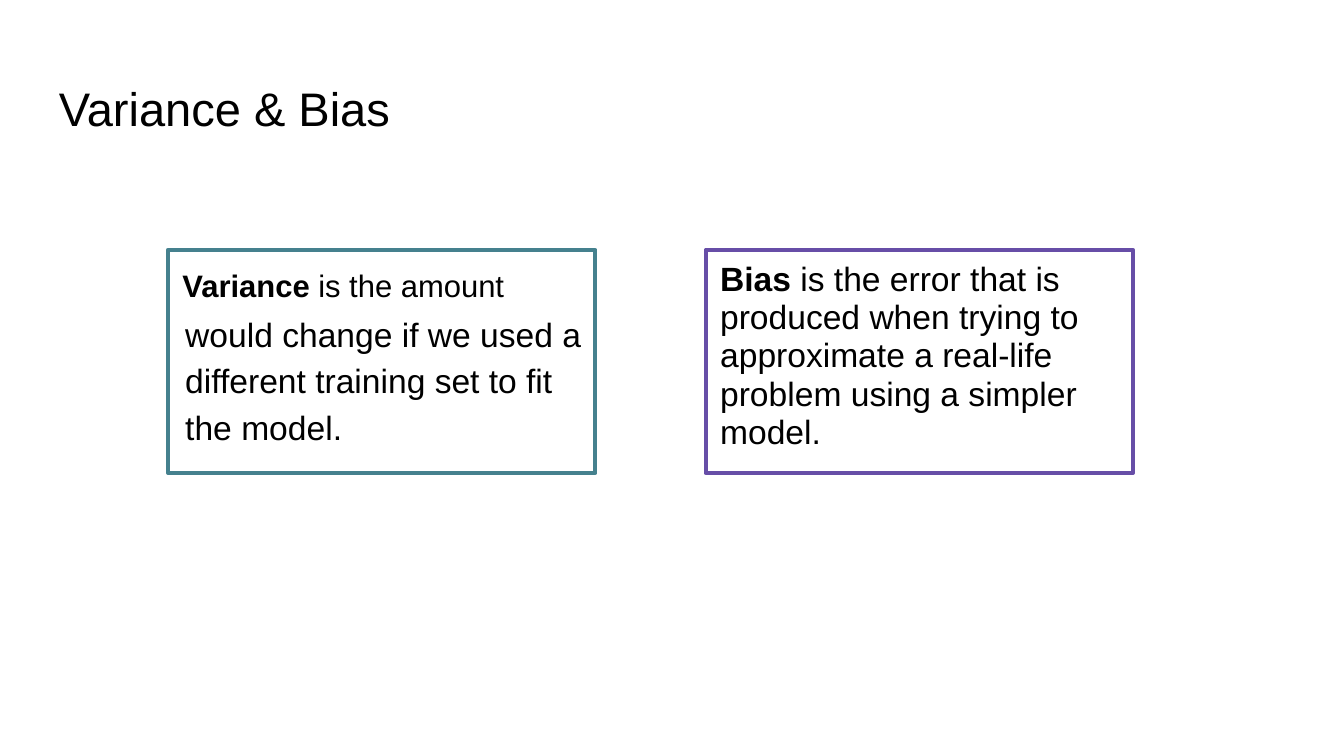
from pptx import Presentation, util as u
from pptx.dml.color import RGBColor
from pptx.enum import shapes, text

TOP, WIDE, HIGH = 1.86, 3.18, 1.66  # frame row
LEFT, STEP = 1.25, 4                # frame columns


def paint(form, code):
    form.rgb = RGBColor.from_string(code)


def frame(slide, col, code):
    """Outlined, unfilled box in a column of the grid."""
    box = slide.shapes.add_shape(
        shapes.MSO_SHAPE.RECTANGLE,
        *map(u.Inches, (LEFT + col * STEP, TOP, WIDE, HIGH)))
    box.shadow.inherit = False
    box.fill.background()
    paint(box.line.color, code)
    box.line.width = u.Pt(2.25)


def write(slide, place, words, size, lead="", space=1.0, after=12):
    """One paragraph with an optional bold lead word."""
    box = slide.shapes.add_textbox(*map(u.Inches, place))
    body = box.text_frame
    body.word_wrap = True
    body.vertical_anchor = text.MSO_ANCHOR.TOP
    body.margin_left = body.margin_right = u.Inches(0.1)
    body.margin_top = body.margin_bottom = u.Inches(0.1)
    para = body.paragraphs[0]
    para.line_spacing = space
    para.space_after = u.Pt(after)
    para.font.name = "Arial"
    para.font.size = u.Pt(size)
    paint(para.font.color, "000000")
    if lead:
        run = para.add_run()
        run.text = lead
        run.font.bold = True
    para.add_run().text = words


def main():
    deck = Presentation()
    deck.slide_width = u.Inches(10)
    deck.slide_height = deck.slide_width * 9 // 16
    slide = deck.slides.add_slide(deck.slide_layouts[6])

    # Title
    write(slide, (0.34, 0.49, 9.32, 0.63), "Variance & Bias", 25.2, after=0)

    # Variance
    frame(slide, 0, "45818E")
    write(slide, (1.26, 1.84, 2.76, 0.57), " is the amount", 16.6,
          "Variance", 1.15)
    write(slide, (1.28, 2.19, WIDE, 1.28),
          "would change if we used a different training set "
          "to fit the model.", 18, space=1.15)

    # Bias
    frame(slide, 1, "674EA7")
    write(slide, (5.26, 1.84, 3.08, HIGH),
          " is the error that is produced when trying to approximate "
          "a real-life problem using a simpler model.", 18, "Bias", 0.95)

    deck.save("out.pptx")


if __name__ == "__main__":
    main()
